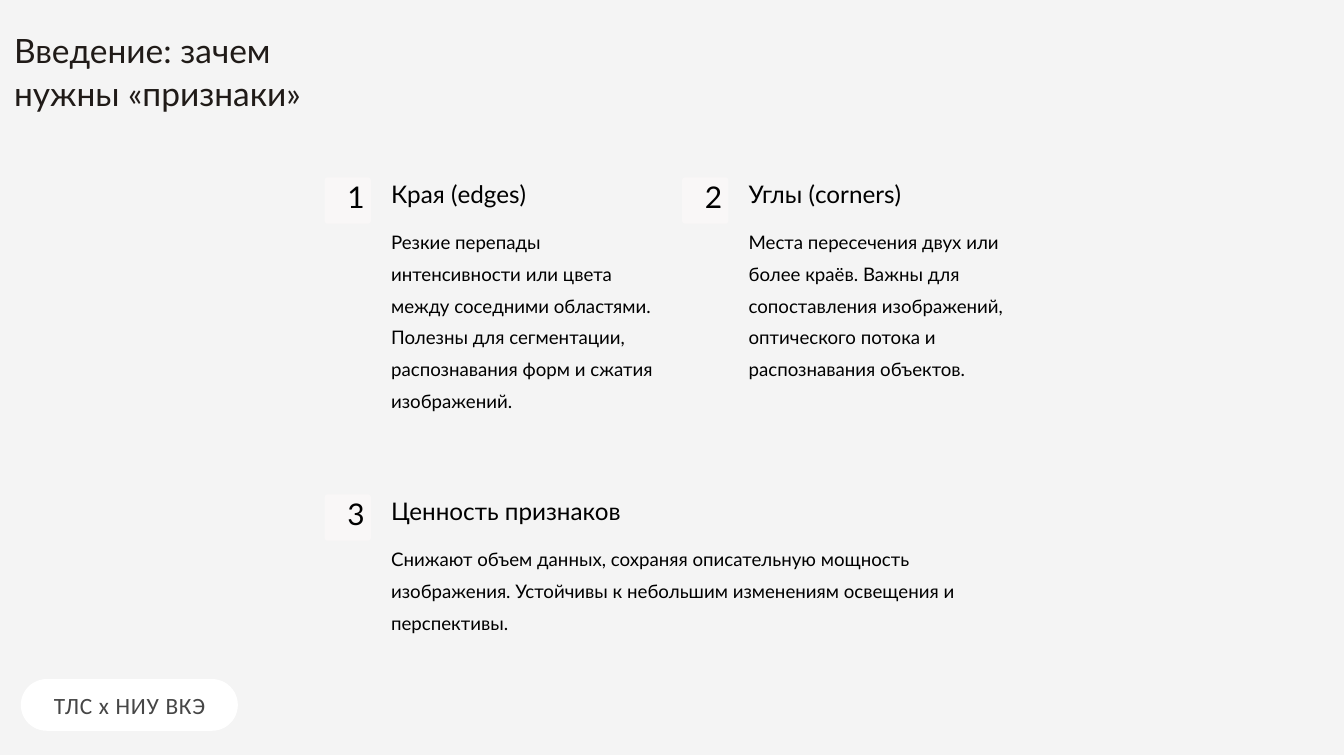
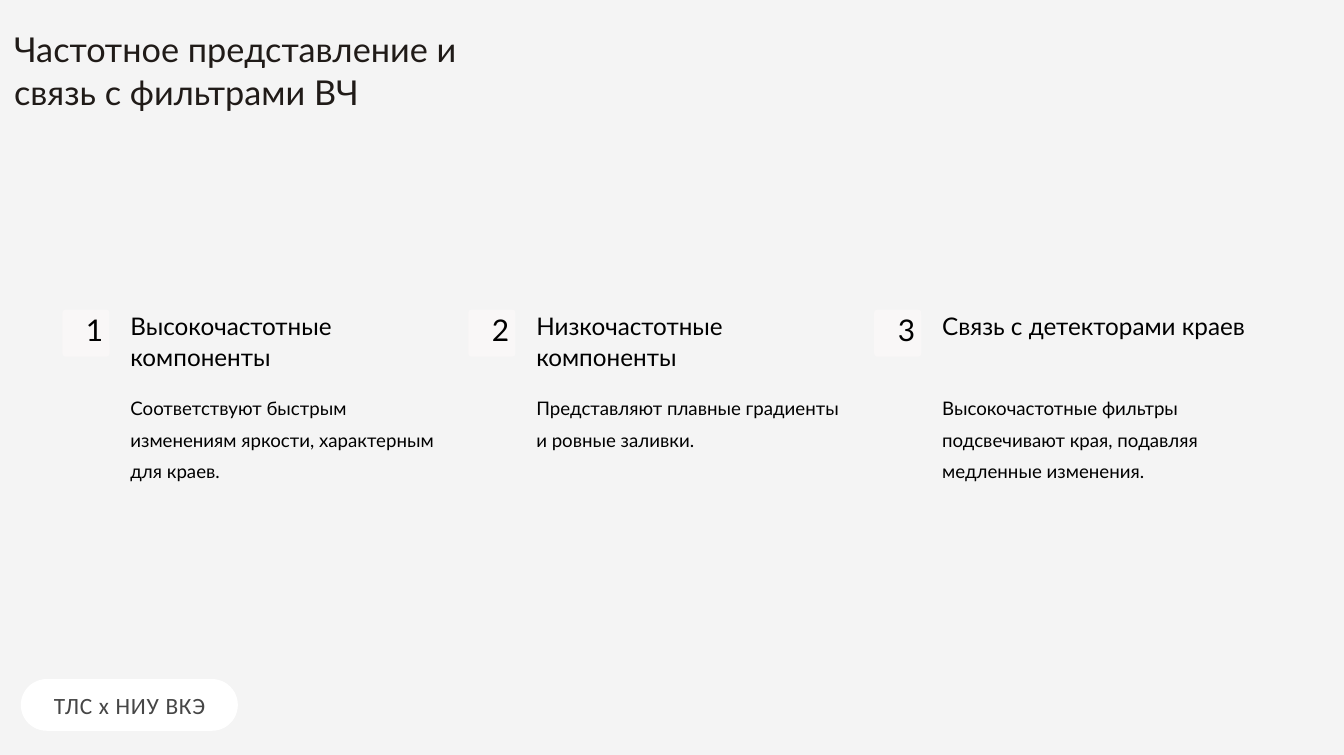
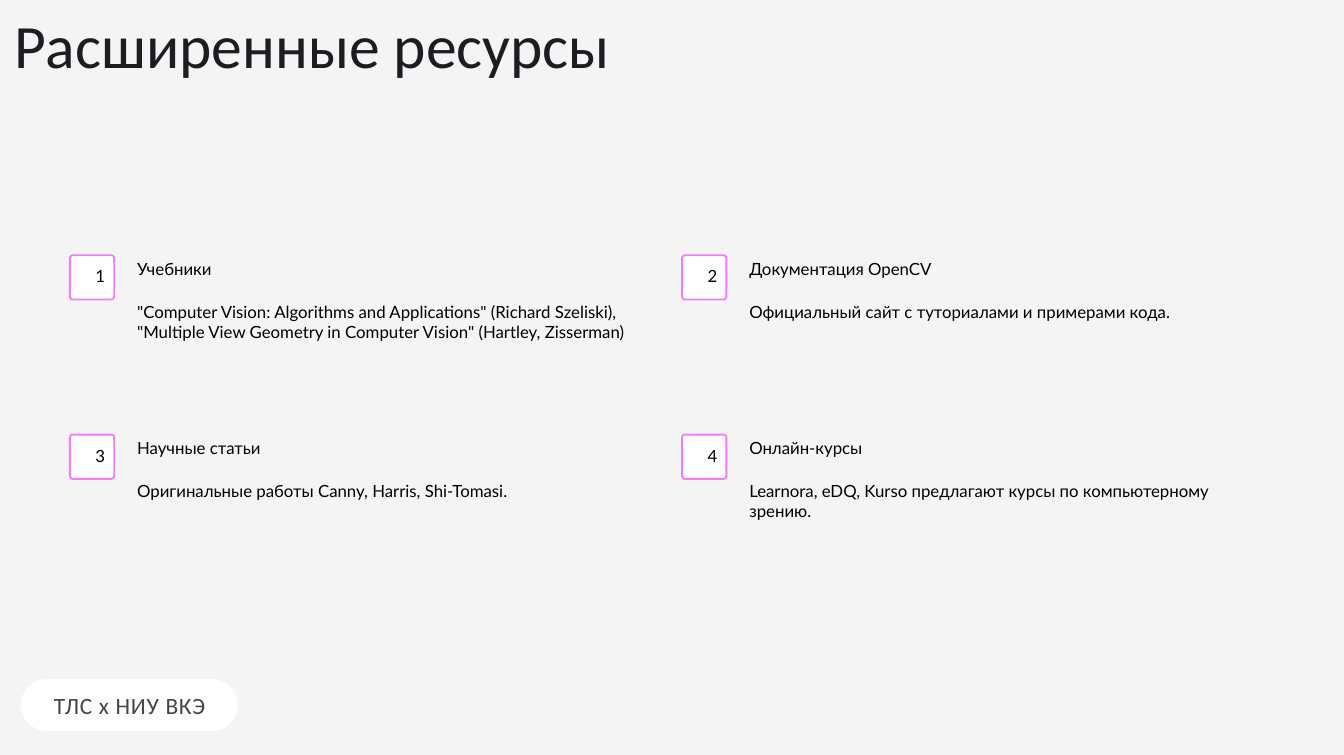
"""Builds three slides on image features, each a grid of numbered points."""
from pptx import Presentation
from pptx.dml.color import RGBColor
from pptx.enum.shapes import MSO_SHAPE as SHAPE
from pptx.enum.text import MSO_ANCHOR as ANCHOR, MSO_AUTO_SIZE as AUTO, PP_ALIGN as ALIGN
from pptx.util import Inches, Pt

COLORS = {name: RGBColor.from_string(value) for name, value in {
    "background": "F4F4F4", "pill": "FFFFFF", "footer": "464646", "title": "201B18",
    "dark_title": "1B1D22", "text": "000000", "badge": "F9F7F7",
    "white_badge": "FFFFFF", "pink": "F77BF7"}.items()}


def write(shape, lines, size, color, font="Lato", spacing=None, inset=0.05, wrap=True,
          anchor=ANCHOR.TOP, align=ALIGN.LEFT, fit=AUTO.SHAPE_TO_FIT_TEXT):
    frame = shape.text_frame
    frame.auto_size, frame.word_wrap, frame.vertical_anchor = fit, wrap, anchor
    frame.margin_left = frame.margin_right = Inches(inset)
    frame.margin_top = frame.margin_bottom = Inches(inset)
    for index, line in enumerate(lines):
        paragraph = frame.add_paragraph() if index else frame.paragraphs[0]
        paragraph.alignment = align
        if spacing:
            paragraph.line_spacing = spacing
        run = paragraph.add_run()
        run.text = line
        run.font.size, run.font.name, run.font.color.rgb = Pt(size), font, COLORS[color]


def add_round_box(slide, left, top, width, height, radius, fill, line=None):
    box = slide.shapes.add_shape(SHAPE.ROUNDED_RECTANGLE, Inches(left), Inches(top),
                                 Inches(width), Inches(height))
    box.adjustments[0] = radius
    box.shadow.inherit = False
    box.fill.solid()
    box.fill.fore_color.rgb = COLORS[fill]
    if line:
        box.line.color.rgb, box.line.width = COLORS[line], Pt(2)
    else:
        box.line.fill.background()
    return box


large = dict(badge=0.69, fill="badge", line=None, inset=0, sizes=(32, 26, 20),
             spacings=(Pt(32), Pt(33), Pt(34)), number_at=(0.34, 0.11), number_height=0.49,
             number_widths=(0.17, 0.28, 0.29), text_at=0.99, body_at=0.66,
             heading_wraps=False, heading_height=0.48, body_heights=(0.48, 0.96, 1.44, 1.93, 2.41, 2.9))
three_columns = large | dict(badge=0.7, number_at=(0.35, 0.12), text_at=1.01, body_at=1.16,
                             heading_wraps=True)
small = dict(badge=0.66, fill="white_badge", line="pink", inset=0.05, sizes=(18, 18, 18),
             spacings=(None, None, None), number_at=(0.33, 0.11), number_height=0.39,
             number_widths=(0.2, 0.26, 0.27, 0.27), text_at=0.95, body_at=0.64,
             heading_wraps=False, heading_height=0.39, body_heights=(0.39, 0.74))

contents = [
    (["Введение: зачем", "нужны «признаки»"],
     dict(size=35.9, color="title", spacing=Pt(46)), large, (4.83, 2.64), (5.32, 4.72), 2, [
        ("Края (edges)", 2.19, 1, 4.03, 6,
         "Резкие перепады интенсивности или цвета между соседними областями. "
         "Полезны для сегментации, распознавания форм и сжатия изображений."),
        ("Углы (corners)", 2.4, 1, 4.03, 5,
         "Места пересечения двух или более краёв. Важны для сопоставления изображений, "
         "оптического потока и распознавания объектов."),
        ("Ценность признаков", 3.52, 1, 9.36, 3,
         "Снижают объем данных, сохраняя описательную мощность изображения. "
         "Устойчивы к небольшим изменениям освещения и перспективы.")]),
    (["Частотное представление и", "связь с фильтрами ВЧ"],
     dict(size=36.7, color="title", spacing=Pt(46)), three_columns, (0.93, 4.61), (6.04, 0), 3, [
        ("Высокочастотные компоненты", 4.72, 2, 4.72, 3,
         "Соответствуют быстрым изменениям яркости, характерным для краев."),
        ("Низкочастотные компоненты", 4.72, 2, 4.72, 2,
         "Представляют плавные градиенты и ровные заливки."),
        ("Связь с детекторами краев", 4.72, 1, 4.72, 3,
         "Высокочастотные фильтры подсвечивают края, подавляя медленные изменения.")]),
    (["Расширенные ресурсы"],
     dict(size=66, color="dark_title", font="Calibri", spacing=0.7),
     small, (1.04, 3.8), (9.11, 2.67), 2, [
        ("Учебники", 1.24, 1, 7.86, 2,
         '"Computer Vision: Algorithms and Applications" (Richard Szeliski), '
         '"Multiple View Geometry in Computer Vision" (Hartley, Zisserman)'),
        ("Документация OpenCV", 2.85, 1, 6.49, 1,
         "Официальный сайт с туториалами и примерами кода."),
        ("Научные статьи", 1.98, 1, 5.78, 1,
         "Оригинальные работы Canny, Harris, Shi-Tomasi."),
        ("Онлайн-курсы", 1.84, 1, 7.86, 2,
         "Learnora, eDQ, Kurso предлагают курсы по компьютерному зрению.")]),
]

deck = Presentation()
deck.slide_width, deck.slide_height = Inches(20), Inches(11.24)
backdrop = deck.slide_master.background.fill
backdrop.solid()
backdrop.fore_color.rgb = COLORS["background"]
layout = deck.slide_layouts[5]

for page, (title_lines, title_style, style, start, pitch, columns, points) in enumerate(contents):
    slide = deck.slides.add_slide(layout)
    title = slide.shapes.title
    title.left, title.top, title.width, title.height = map(Inches, (0.16, 0.35, 17.84, 1.42))
    write(title, title_lines, fit=AUTO.NONE, **title_style)

    if page == 0:
        pill = add_round_box(slide, 0.31, 10.11, 3.23, 0.77, 0.5, "pill")
        partners = slide.shapes.add_textbox(*map(Inches, (0.48, 10.03, 2.9, 0.93)))
        write(partners, ["ТЛС х НИУ ВКЭ"], 25, "footer", "Calibri",
              anchor=ANCHOR.MIDDLE, align=ALIGN.CENTER)
        partners.element.xpath(".//a:rPr")[0].set("spc", "80")
        for footer_part in (pill, partners):
            layout.shapes.element.append(footer_part.element)

    for index, (heading, heading_width, heading_lines, body_width, body_lines, body) in enumerate(points):
        row, column = divmod(index, columns)
        left, top = start[0] + column * pitch[0], start[1] + row * pitch[1]
        text_left = left + style["text_at"]
        add_round_box(slide, left, top, style["badge"], style["badge"], 0.067,
                      style["fill"], style["line"])
        number_left, number_top = left + style["number_at"][0], top + style["number_at"][1]
        parts = [
            (str(index + 1), False,
             (number_left, number_top, style["number_widths"][index], style["number_height"])),
            (heading, style["heading_wraps"],
             (text_left, top, heading_width, heading_lines * style["heading_height"])),
            (body, body_lines > 1,
             (text_left, top + style["body_at"], body_width, style["body_heights"][body_lines - 1])),
        ]
        for (text, wrap, place), size, spacing in zip(parts, style["sizes"], style["spacings"]):
            write(slide.shapes.add_textbox(*map(Inches, place)), [text], size, "text",
                  spacing=spacing, inset=style["inset"], wrap=wrap)

deck.save("out.pptx")
